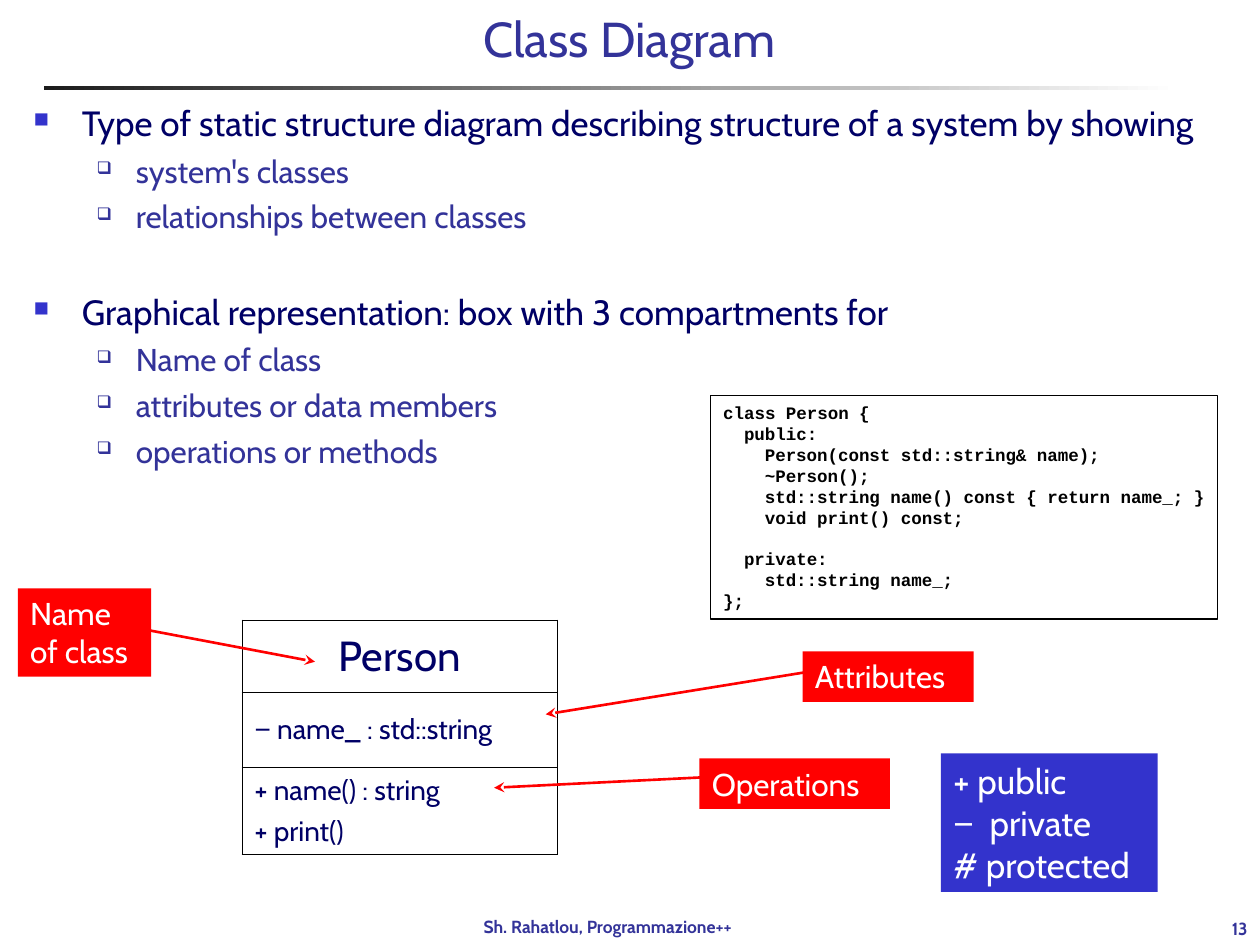
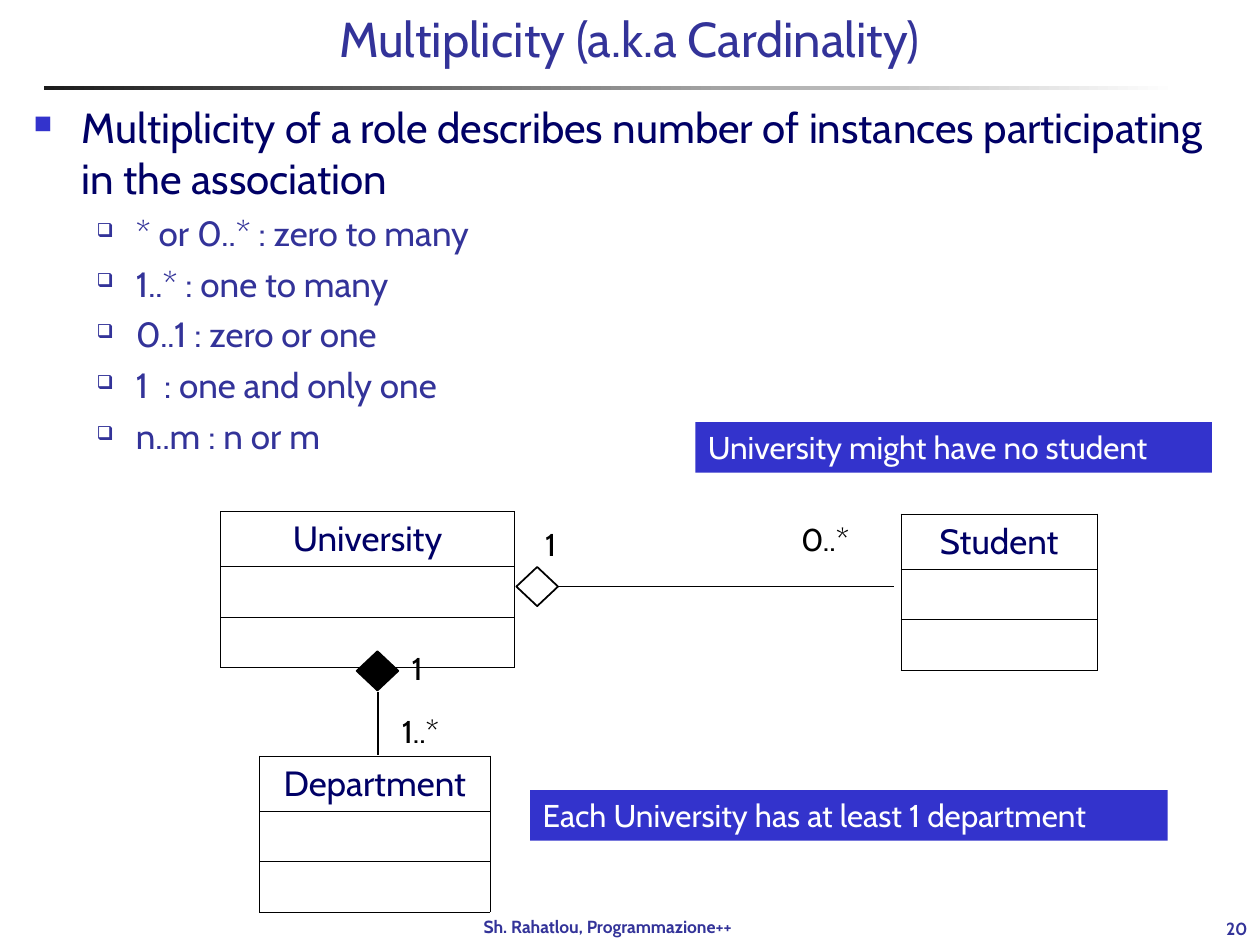
from itertools import groupby

from lxml.etree import SubElement
from pptx import Presentation
from pptx.dml.color import RGBColor
from pptx.enum.shapes import MSO_CONNECTOR, MSO_SHAPE
from pptx.enum.text import MSO_ANCHOR, PP_ALIGN
from pptx.oxml.ns import qn
from pptx.util import Cm, Pt

BLACK, WHITE, RED = "000000", "FFFFFF", "FF0000"
NAVY, INDIGO, BLUE = "000066", "333399", "3333CC"
FONT, CODE_FONT, SYMBOL_FONT = "Cabin", "Courier New", "Arial"
MINUS = "−"
CODE_INDENT = 0.42  # two characters of 10 pt code
# level: (margin, hanging indent, bullet, bullet colour, bullet percent, text colour)
BULLETS = {0: (0.97, 0.97, "■", BLUE, 60, NAVY),
           1: (2.06, 0.79, "❑", INDIGO, 55, INDIGO)}


def rgb(value):
    return RGBColor.from_string(value)


def set_fill(shape, color):
    if color:
        shape.fill.solid()
        shape.fill.fore_color.rgb = rgb(color)
    else:
        shape.fill.background()


def add_solid_fill(parent, color):
    fill = SubElement(parent, qn("a:solidFill"))
    SubElement(fill, qn("a:srgbClr"), val=color)


def write(paragraph, text, size, color, font=FONT, bold=False,
          align=PP_ALIGN.LEFT, before=0):
    """Fill a paragraph; minus signs get the symbol font."""
    paragraph.alignment = align
    paragraph.space_before = Pt(before)
    style = paragraph.font
    style.name, style.size, style.bold = font, Pt(size), bold
    style.color.rgb = rgb(color)
    for number, line in enumerate(text.split("\n")):
        if number:
            paragraph.add_line_break()
        for is_minus, characters in groupby(line, lambda c: c == MINUS):
            run = paragraph.add_run()
            run.text = "".join(characters)
            if is_minus:
                run.font.name = SYMBOL_FONT


def paragraphs(frame, count):
    """Return the first paragraph of a frame and enough new ones."""
    return [frame.paragraphs[0]] + [frame.add_paragraph() for _ in range(count - 1)]


def set_indent(paragraph, margin, hanging=0):
    properties = paragraph._p.get_or_add_pPr()
    properties.set("marL", str(Cm(margin)))
    properties.set("indent", str(-Cm(hanging)))
    return properties


class Deck:
    def __init__(self):
        self.presentation = Presentation()
        self.presentation.slide_width = Cm(25.4)
        self.presentation.slide_height = Cm(19.05)
        self.slide = None

    def new_slide(self, title, number):
        layout = self.presentation.slide_layouts[5]
        self.slide = self.presentation.slides.add_slide(layout)
        heading = self.slide.shapes.title
        heading.left, heading.top = Cm(1.47), Cm(0.05)
        heading.width, heading.height = Cm(22.43), Cm(1.7)
        heading.text_frame.vertical_anchor = MSO_ANCHOR.TOP
        write(heading.text_frame.paragraphs[0], title, 28, INDIGO,
              align=PP_ALIGN.CENTER)

        rule = self.shape(0.89, 1.73, 22.86, 0.08)
        rule.fill.gradient()
        rule.fill.gradient_angle = 0
        for stop, color in zip(rule.fill.gradient_stops, ("1C1C1C", WHITE)):
            stop.color.rgb = rgb(color)

        self.label("Sh. Rahatlou, Programmazione++", 9.5, 18.34, 6.32, 0.69,
                   size=10, color=INDIGO, bold=True)
        page = self.label(number, 22.66, 18.42, 2.74, 0.63, size=10,
                          color=INDIGO, bold=True, align=PP_ALIGN.RIGHT)
        page.text_frame.vertical_anchor = MSO_ANCHOR.BOTTOM

    def shape(self, left, top, width, height, kind=MSO_SHAPE.RECTANGLE,
              fill=None, line=None, line_width=0.75):
        shape = self.slide.shapes.add_shape(
            kind, Cm(left), Cm(top), Cm(width), Cm(height))
        shape.shadow.inherit = False
        set_fill(shape, fill)
        if line:
            shape.line.color.rgb = rgb(line)
            shape.line.width = Pt(line_width)
        else:
            shape.line.fill.background()
        return shape

    def label(self, text, left, top, width, height, size=18, color=BLACK, **style):
        box = self.slide.shapes.add_textbox(
            Cm(left), Cm(top), Cm(width), Cm(height))
        box.text_frame.word_wrap = True
        write(box.text_frame.paragraphs[0], text, size, color, **style)
        return box

    def callout(self, text, left, top, width, height=1.02, fill=BLUE, size=18):
        box = self.shape(left, top, width, height, fill=fill)
        box.text_frame.vertical_anchor = MSO_ANCHOR.TOP
        write(box.text_frame.paragraphs[0], text, size, WHITE)

    def diamond(self, left, top, fill=None):
        self.shape(left, top, 0.84, 0.79, MSO_SHAPE.DIAMOND, fill, BLACK, 1)

    def bullets(self, items, top_size, sub_size, height):
        """Write (level, text, extra space before) items."""
        box = self.slide.shapes.add_textbox(
            Cm(0.43), Cm(1.93), Cm(24.46), Cm(height))
        box.text_frame.word_wrap = True
        rows = paragraphs(box.text_frame, len(items))
        for paragraph, (level, text, gap) in zip(rows, items):
            margin, hanging, mark, mark_color, percent, color = BULLETS[level]
            size = sub_size if level else top_size
            paragraph.level = level
            properties = set_indent(paragraph, margin, hanging)
            mark_fill = SubElement(properties, qn("a:buClr"))
            SubElement(mark_fill, qn("a:srgbClr"), val=mark_color)
            SubElement(properties, qn("a:buSzPct"), val=str(percent * 1000))
            SubElement(properties, qn("a:buChar"), char=mark)
            write(paragraph, text, size, color, before=size / 4 + gap)

    def code(self, lines, left, top, width, height):
        """Write (indent level, text, space before) lines in a framed box."""
        box = self.shape(left, top, width, height, line=BLACK)
        box.text_frame.word_wrap = False
        box.text_frame.vertical_anchor = MSO_ANCHOR.TOP
        rows = paragraphs(box.text_frame, len(lines))
        for paragraph, (level, text, gap) in zip(rows, lines):
            set_indent(paragraph, level * CODE_INDENT)
            write(paragraph, text, 10, BLACK, CODE_FONT, bold=True, before=gap)

    def class_box(self, name, left, top, width, heights=(1.11, 0.86, 0.86),
                  members=((), ()), name_size=20):
        """Draw a class with compartments for name, attributes and operations."""
        table = self.slide.shapes.add_table(
            3, 1, Cm(left), Cm(top), Cm(width), Cm(sum(heights))).table
        table.first_row = table.horz_banding = False
        compartments = ((name,), *members)
        for index, (height, lines) in enumerate(zip(heights, compartments)):
            table.rows[index].height = Cm(height)
            cell = table.cell(index, 0)
            cell.vertical_anchor = MSO_ANCHOR.MIDDLE
            properties = cell._tc.get_or_add_tcPr()
            for side in ("a:lnL", "a:lnR", "a:lnT", "a:lnB"):
                border = SubElement(properties, qn(side), w=str(Pt(0.45)))
                add_solid_fill(border, BLACK)
            set_fill(cell, None)
            size = 16 if index else name_size
            align = PP_ALIGN.LEFT if index else PP_ALIGN.CENTER
            for paragraph, text in zip(paragraphs(cell.text_frame, len(lines)), lines):
                write(paragraph, text, size, NAVY, align=align, before=size / 4)

    def line(self, start, end, color=BLACK, width=0.75, arrow=False):
        connector = self.slide.shapes.add_connector(
            MSO_CONNECTOR.STRAIGHT, *map(Cm, start + end))
        connector.line.color.rgb = rgb(color)
        connector.line.width = Pt(width)
        properties = connector._element.spPr
        if arrow:
            SubElement(properties.find(qn("a:ln")), qn("a:tailEnd"), type="stealth")
        SubElement(properties, qn("a:effectLst"))


def class_diagram(deck):
    deck.new_slide("Class Diagram", "13")
    deck.bullets([
        (0, "Type of static structure diagram describing structure of a system "
            "by showing", 0),
        (1, "system's classes", 0),
        (1, "relationships between classes", 0),
        (0, "Graphical representation: box with 3 compartments for", 26.4),
        (1, "Name of class", 0),
        (1, "attributes or data members", 0),
        (1, "operations or methods", 0),
    ], 20, 18, 8.86)
    deck.class_box("Person", 4.88, 12.5, 6.35, (1.45, 1.52, 1.75),
                   ((MINUS + " name_ : std::string",),
                    ("+ name() : string", "+ print()")), 24)
    deck.code([
        (0, "class Person {", 0),
        (1, "public:", 0),
        (2, "Person(const std::string& name);", 0),
        (2, "~Person();", 0),
        (2, "std::string name() const { return name_; }", 0),
        (2, "void print() const;", 0),
        (1, "private:", 11.3),
        (2, "std::string name_;", 0),
        (0, "};", 0),
    ], 14.33, 7.98, 10.21, 4.5)
    for text, box, start, end in (
            ("Name\nof class", (0.36, 11.86, 2.69, 1.78), (2.97, 12.7), (6.35, 13.34)),
            ("Attributes", (16.18, 13.13, 3.45), (16.31, 13.54), (11, 14.4)),
            ("Operations", (14.1, 15.29, 3.84), (14.17, 15.67), (9.96, 15.88))):
        deck.callout(text, *box, fill=RED)
        deck.line(start, end, RED, 1.5, arrow=True)
    deck.callout("+ public\n" + MINUS + "  private\n# protected",
                 18.97, 15.19, 4.37, 2.79, size=20)


def multiplicity(deck):
    deck.new_slide("Multiplicity (a.k.a Cardinality)", "20")
    deck.bullets([
        (0, "Multiplicity of a role describes number of instances participating "
            "in the association", 0),
        (1, "* or 0..* : zero to many", 0),
        (1, "1..* : one to many", 0),
        (1, "0..1 : zero or one", 0),
        (1, "1  : one and only one", 0),
        (1, "n..m : n or m", 0),
    ], 24, 20, 16.26)
    deck.class_box("University", 4.45, 10.31, 5.92)
    deck.class_box("Student", 18.16, 10.36, 3.96)
    deck.class_box("Department", 5.23, 15.24, 4.65)
    deck.diamond(10.41, 11.43)
    deck.line((11.25, 11.82), (18.03, 11.82))
    deck.diamond(7.19, 13.13, BLACK)
    deck.line((7.62, 13.94), (7.62, 15.21))
    for count, left, top, width in (("1", 10.74, 10.46, 0.86),
                                    ("0..*", 15.9, 10.36, 1.55),
                                    ("1", 8.05, 12.95, 0.86),
                                    ("1..*", 7.85, 14.22, 1.55)):
        deck.label(count, left, top, width, 1.02)
    deck.callout("University might have no student", 14.02, 8.51, 10.41)
    deck.callout("Each University has at least 1 department", 10.69, 15.93, 12.85)


def main():
    deck = Deck()
    class_diagram(deck)
    multiplicity(deck)
    deck.presentation.save("out.pptx")


if __name__ == "__main__":
    main()
